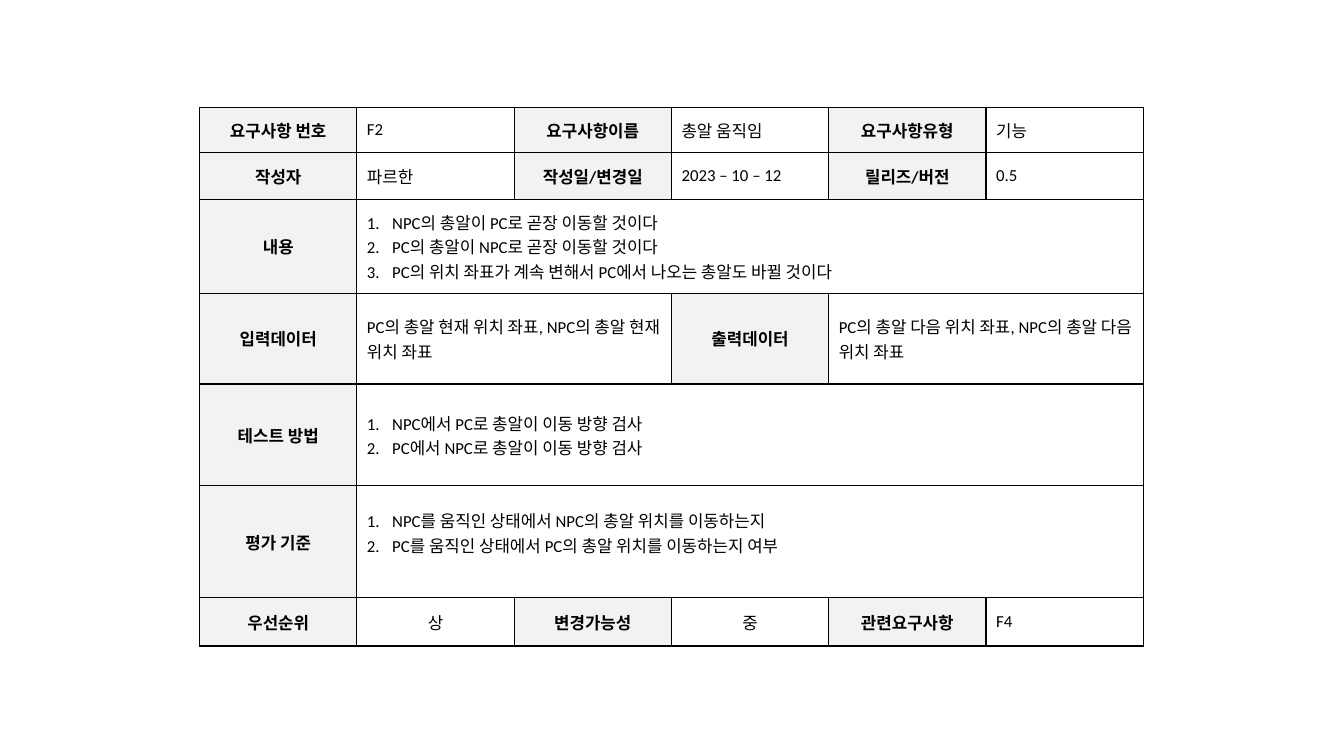
from dataclasses import dataclass

from lxml.etree import SubElement
from pptx import Presentation
from pptx.dml.color import RGBColor
from pptx.enum.text import MSO_ANCHOR, PP_ALIGN
from pptx.oxml.ns import qn
from pptx.util import Inches, Pt


@dataclass(frozen=True)
class Theme:
    """Colours, font and sizes of the requirement sheet."""
    font: str = "Calibri"
    size: float = 12
    text: str = "000000"
    border: str = "000000"
    label_fill: str = "F2F2F2"
    border_width: float = 1


THEME = Theme()
LEFT, TOP = 1.98, 1.07
COLUMNS, COLUMN_WIDTH = 6, 1.56
ROW_HEIGHTS = (0.44, 0.47, 0.93, 0.9, 1.01, 1.11, 0.48)
LIST_INDENT = 0.25
CRITERIA_ROW, CRITERIA_BOTTOM = 5, 0.23

ROWS = (
    (("요구사항 번호", "F2"), ("요구사항이름", "총알 움직임"), ("요구사항유형", "기능")),
    (("작성자", "파르한"), ("작성일/변경일", "2023 – 10 – 12"), ("릴리즈/버전", "0.5")),
    (("내용", ["NPC의 총알이 PC로 곧장 이동할 것이다",
              "PC의 총알이 NPC로 곧장 이동할 것이다",
              "PC의 위치 좌표가 계속 변해서 PC에서 나오는 총알도 바뀔 것이다"]),),
    (("입력데이터", "PC의 총알 현재 위치 좌표, NPC의 총알 현재 위치 좌표"),
     ("출력데이터", "PC의 총알 다음 위치 좌표, NPC의 총알 다음 위치 좌표")),
    (("테스트 방법", ["NPC에서 PC로 총알이 이동 방향 검사",
                  "PC에서 NPC로 총알이 이동 방향 검사"]),),
    (("평가 기준", ["NPC를 움직인 상태에서 NPC의 총알 위치를 이동하는지",
                 "PC를 움직인 상태에서 PC의 총알 위치를 이동하는지 여부"]),),
    (("우선순위", "상"), ("변경가능성", "중"), ("관련요구사항", "F4")),
)
CENTERED_VALUES = ("상", "중")


def add_borders(cell):
    """Draw a solid line on every side of a cell."""
    tcPr = cell._tc.get_or_add_tcPr()
    for position, side in enumerate(("a:lnL", "a:lnR", "a:lnT", "a:lnB")):
        ln = SubElement(tcPr, qn(side), w=str(Pt(THEME.border_width)))
        fill = SubElement(ln, qn("a:solidFill"))
        SubElement(fill, qn("a:srgbClr"), val=THEME.border)
        tcPr.insert(position, ln)


def number_paragraph(p):
    """Give a paragraph an automatic number and a hanging indent."""
    pPr = p._p.get_or_add_pPr()
    pPr.set("marL", str(Inches(LIST_INDENT)))
    pPr.set("indent", str(-Inches(LIST_INDENT)))
    SubElement(pPr, qn("a:buFont"), typeface="+mj-lt")
    SubElement(pPr, qn("a:buAutoNum"), type="arabicPeriod")


def add_text(p, text, bold, centered):
    """Add one formatted run to a paragraph."""
    p.alignment = PP_ALIGN.CENTER if centered else PP_ALIGN.LEFT
    r = p.add_run()
    r.text = text
    r.font.name = THEME.font
    r.font.size = Pt(THEME.size)
    r.font.bold = bold
    r.font.color.rgb = RGBColor.from_string(THEME.text)


def fill_label(cell, text):
    """Write a bold centred label on a shaded cell."""
    cell.fill.solid()
    cell.fill.fore_color.rgb = RGBColor.from_string(THEME.label_fill)
    add_text(cell.text_frame.paragraphs[0], text, True, True)


def fill_value(cell, value):
    """Write a plain value, or a numbered list when given a list."""
    tf = cell.text_frame
    if isinstance(value, str):
        add_text(tf.paragraphs[0], value, False, value in CENTERED_VALUES)
        return
    for index, item in enumerate(value):
        p = tf.add_paragraph() if index else tf.paragraphs[0]
        number_paragraph(p)
        add_text(p, item, False, False)


def add_grid(slide):
    """Add the empty bordered table and return it."""
    frame = slide.shapes.add_table(
        len(ROW_HEIGHTS), COLUMNS, Inches(LEFT), Inches(TOP),
        Inches(COLUMNS * COLUMN_WIDTH), Inches(sum(ROW_HEIGHTS)))
    table = frame.table
    table.first_row = table.horz_banding = False
    for column in table.columns:
        column.width = Inches(COLUMN_WIDTH)
    for row, height in zip(table.rows, ROW_HEIGHTS):
        row.height = Inches(height)
    for cell in table.iter_cells():
        cell.fill.background()
        cell.vertical_anchor = MSO_ANCHOR.MIDDLE
        add_borders(cell)
    return table


def fill_row(table, row, pairs):
    """Spread label and value pairs evenly over one table row."""
    span = COLUMNS // len(pairs)
    for index, (label, value) in enumerate(pairs):
        column = index * span
        value_cell = table.cell(row, column + 1)
        if span > 2:
            value_cell.merge(table.cell(row, column + span - 1))
        fill_label(table.cell(row, column), label)
        fill_value(value_cell, value)


def main():
    """Build the requirement sheet and save it."""
    prs = Presentation()
    prs.slide_width, prs.slide_height = Inches(13.33), Inches(7.5)
    slide = prs.slides.add_slide(prs.slide_layouts[6])
    table = add_grid(slide)
    for row, pairs in enumerate(ROWS):
        fill_row(table, row, pairs)
    table.cell(CRITERIA_ROW, 1).margin_bottom = Inches(CRITERIA_BOTTOM)
    prs.save("out.pptx")


if __name__ == "__main__":
    main()
